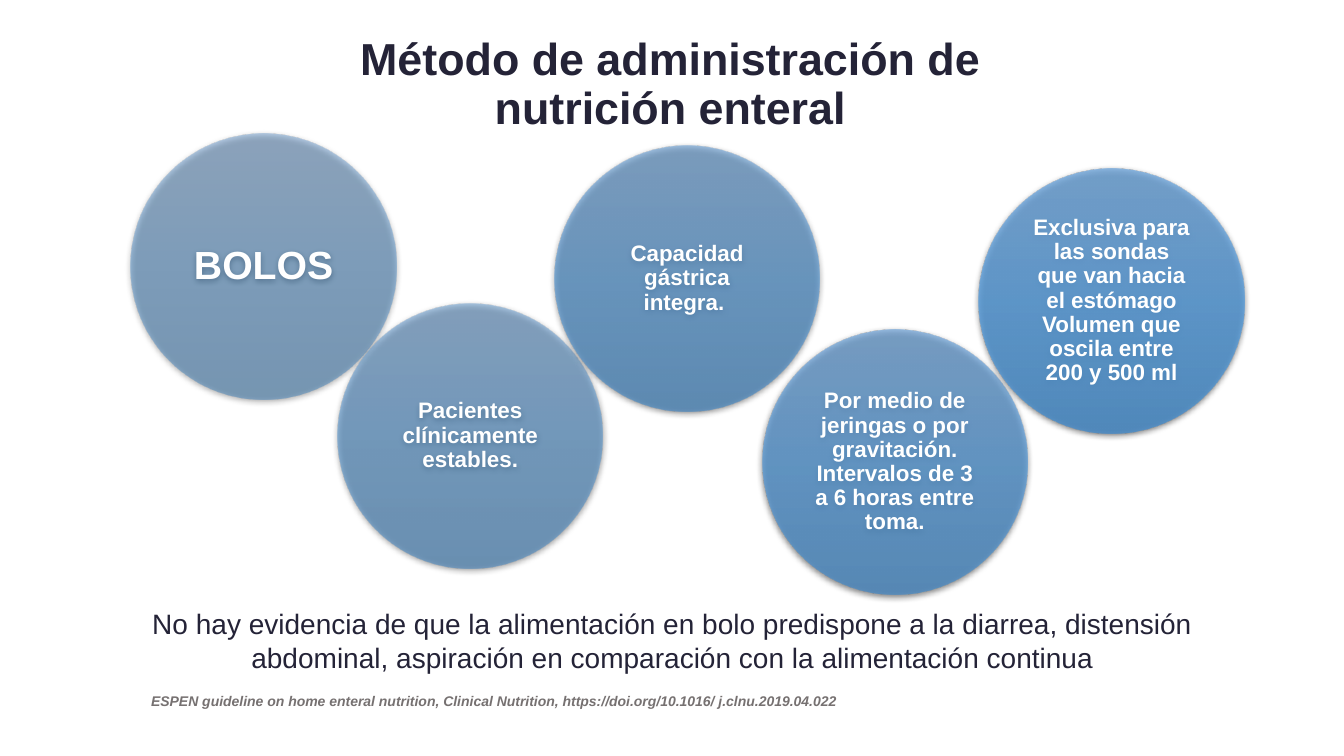
from dataclasses import dataclass

from pptx import Presentation
from pptx import oxml
from pptx.dml.color import RGBColor
from pptx.enum import shapes, text
from pptx.oxml import ns
from pptx.util import Inches, Pt


@dataclass(frozen=True)
class Theme:
    """Colours, font and type sizes of the slide."""
    font: str = "Arial"
    ink: str = "242337"
    white: str = "FFFFFF"
    grey: str = "767171"
    shadow: str = "000000"
    title: int = 32
    heading: int = 28
    body: int = 16
    conclusion: int = 20
    citation: int = 10


THEME = Theme()
DIAMETER = 2.63
BUBBLES = [
    (1.3, 1.33, "BOLOS", THEME.heading, 50, ("6B99C9", "4D8DC7", "3E7EB7")),
    (3.35, 3.01, "Pacientes clínicamente estables.", THEME.body, 57,
     ("6C9DCD", "4F91CC", "4081BC")),
    (5.5, 1.45, "Capacidad gástrica integra. ", THEME.body, 65,
     ("6EA0D2", "5194D2", "4184C1")),
    (7.56, 3.27, "Por medio de jeringas o por gravitación. "
     "Intervalos de 3 a 6 horas entre toma.", THEME.body, 72,
     ("70A3D7", "5398D7", "4388C6")),
    (9.71, 1.67, "Exclusiva para las sondas que van hacia el estómago "
     "Volumen que oscila entre 200 y 500 ml", THEME.body, 80,
     ("72A7DB", "569CDB", "458BCA")),
]


def add_run(paragraph, wording, size, color, bold=False, italic=False):
    """Add one formatted run to a paragraph."""
    run = paragraph.add_run()
    run.text = wording
    font = run.font
    font.name, font.size = THEME.font, Pt(size)
    font.bold, font.italic = bold, italic
    font.color.rgb = RGBColor.from_string(color)


def set_title(slide, lines):
    """Place the title and write its lines."""
    title = slide.shapes.title
    title.left, title.top = Inches(0.38), Inches(0.3)
    title.width, title.height = Inches(12.54), Inches(1.1)
    title.text_frame.vertical_anchor = text.MSO_ANCHOR.MIDDLE
    paragraph = title.text_frame.paragraphs[0]
    paragraph.alignment = text.PP_ALIGN.CENTER
    paragraph.line_spacing = 0.9
    for index, line in enumerate(lines):
        if index:
            paragraph.add_line_break()
        add_run(paragraph, line, THEME.title, THEME.ink, bold=True)


def shade(shape, colors, opacity):
    """Give a shape a translucent vertical gradient and a soft shadow."""
    stops = "".join(
        f'<a:gs pos="{index * 50000}"><a:srgbClr val="{color}">'
        f'<a:alpha val="{opacity * 1000}"/></a:srgbClr></a:gs>'
        for index, color in enumerate(colors))
    gradient = oxml.parse_xml(
        f'<a:gradFill {ns.nsdecls("a")} rotWithShape="1"><a:gsLst>{stops}</a:gsLst>'
        '<a:lin ang="5400000" scaled="0"/></a:gradFill>')
    shadow = oxml.parse_xml(
        f'<a:outerShdw {ns.nsdecls("a")} blurRad="{Pt(4.5)}" dist="{Pt(1.5)}" '
        f'dir="5400000" algn="ctr" rotWithShape="0"><a:srgbClr val="{THEME.shadow}">'
        '<a:alpha val="63000"/></a:srgbClr></a:outerShdw>')
    shape.line.fill.background()
    shape.shadow.inherit = False
    properties = shape._element.spPr
    properties.find(ns.qn("a:ln")).addprevious(gradient)
    properties.find(ns.qn("a:effectLst")).append(shadow)


def add_bubble(slide, left, top, wording, size, opacity, colors):
    """Add one circle with its centred text."""
    bubble = slide.shapes.add_shape(
        shapes.MSO_SHAPE.OVAL, Inches(left), Inches(top),
        Inches(DIAMETER), Inches(DIAMETER))
    shade(bubble, colors, opacity)
    frame = bubble.text_frame
    frame.word_wrap = True
    frame.vertical_anchor = text.MSO_ANCHOR.MIDDLE
    frame.margin_left = frame.margin_right = Inches(0.14)
    frame.margin_top = frame.margin_bottom = Inches(0.02)
    paragraph = frame.paragraphs[0]
    paragraph.alignment = text.PP_ALIGN.CENTER
    paragraph.line_spacing = 0.9
    add_run(paragraph, wording, size, THEME.white, bold=True)


def add_note(slide, left, top, width, height, align, wording, size, color, **style):
    """Add a wrapped text box with one paragraph."""
    note = slide.shapes.add_textbox(
        Inches(left), Inches(top), Inches(width), Inches(height))
    note.text_frame.word_wrap = True
    paragraph = note.text_frame.paragraphs[0]
    paragraph.alignment = align
    add_run(paragraph, wording, size, color, **style)


def main():
    """Build and save the slide."""
    deck = Presentation()
    deck.slide_width, deck.slide_height = Inches(13.33), Inches(7.5)
    slide = deck.slides.add_slide(deck.slide_layouts[5])
    set_title(slide, ["Método de administración de", "nutrición enteral"])
    for bubble in BUBBLES:
        add_bubble(slide, *bubble)
    add_note(slide, 0.83, 5.97, 11.68, 0.77, text.PP_ALIGN.CENTER,
             "No hay evidencia de que la alimentación en bolo predispone a la diarrea, "
             "distensión abdominal, aspiración en comparación con la alimentación continua",
             THEME.conclusion, THEME.ink)
    add_note(slide, 1.4, 6.82, 9.55, 0.44, text.PP_ALIGN.LEFT,
             "ESPEN guideline on home enteral nutrition, Clinical Nutrition, "
             "https://doi.org/10.1016/ j.clnu.2019.04.022",
             THEME.citation, THEME.grey, bold=True, italic=True)
    deck.save("out.pptx")


if __name__ == "__main__":
    main()
